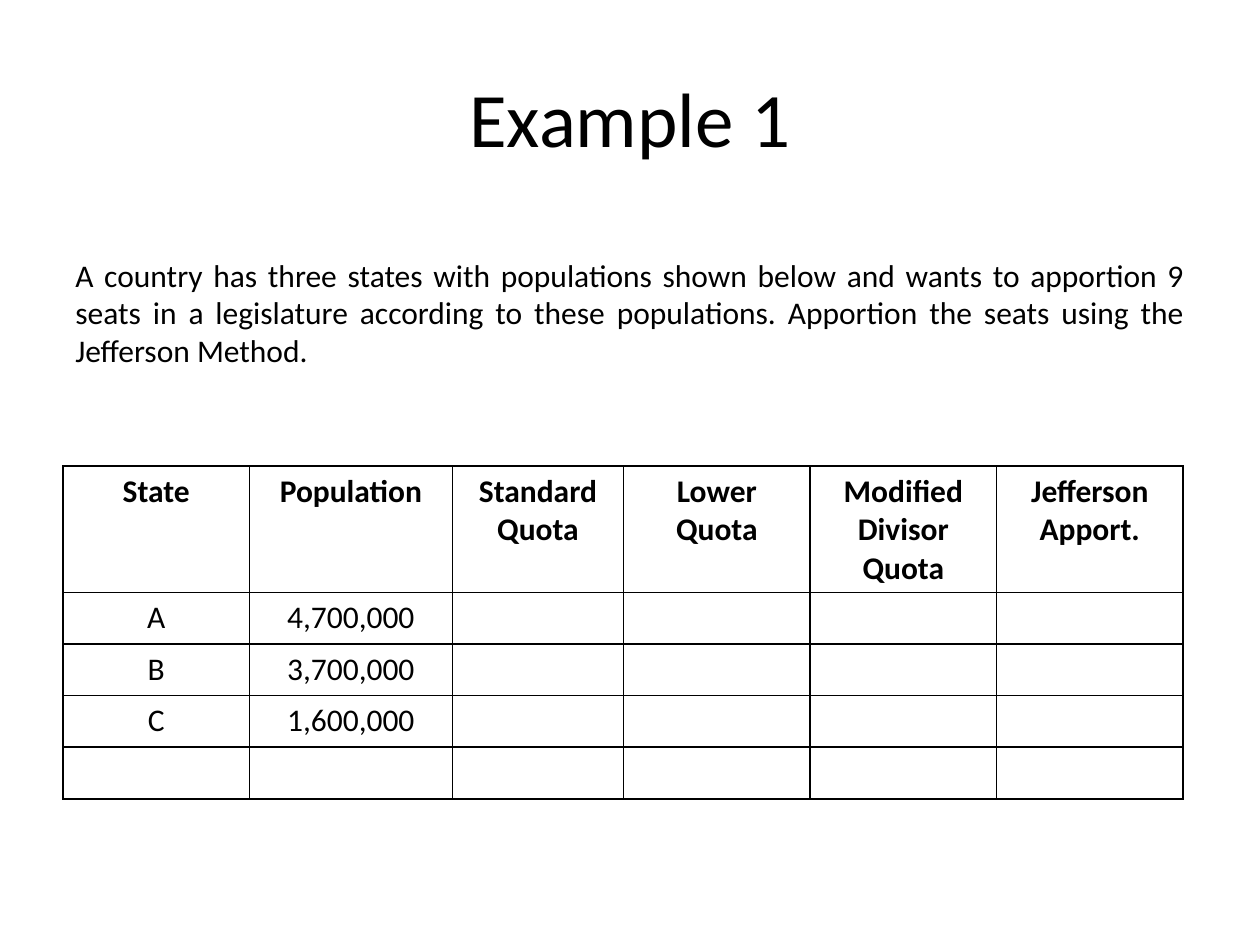
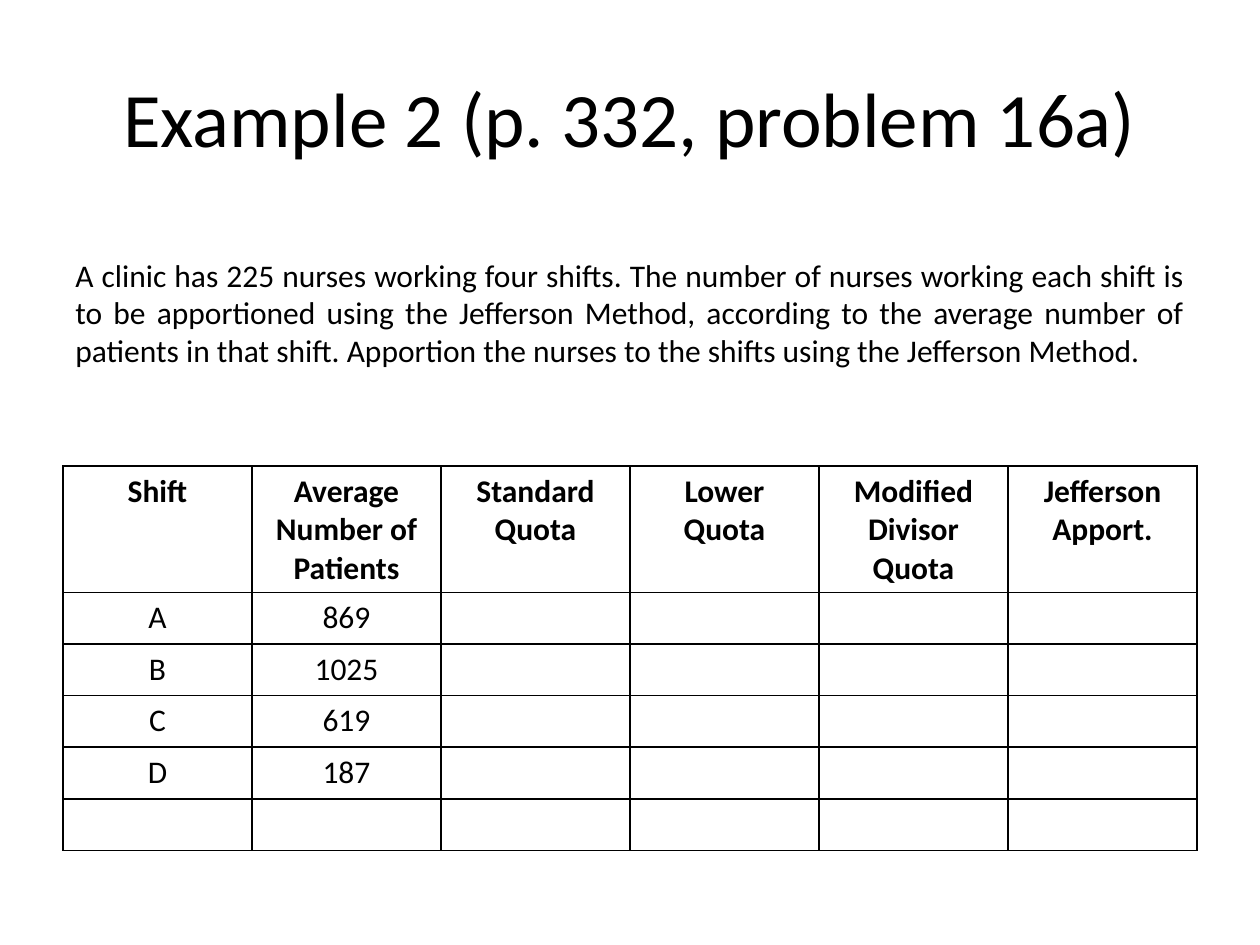
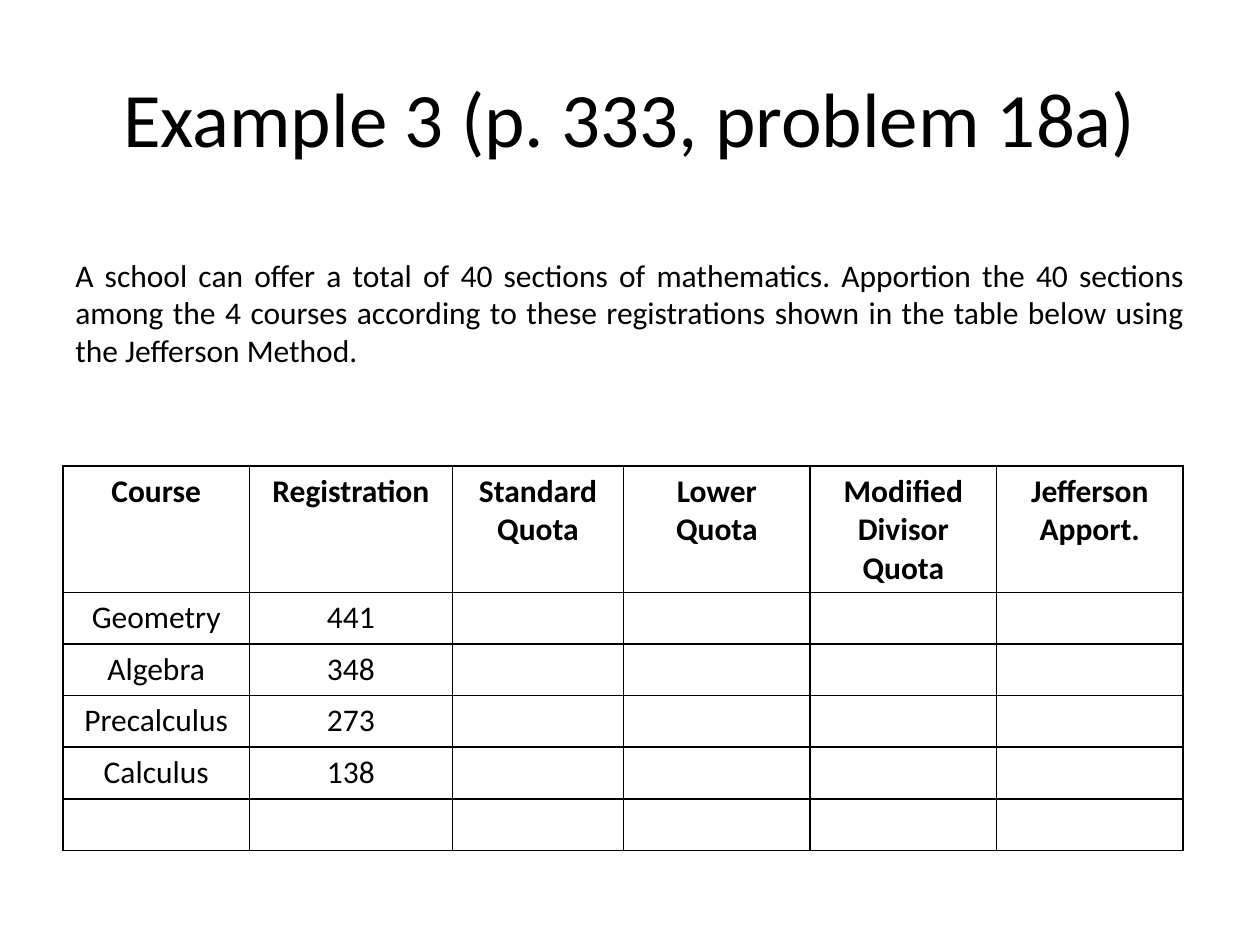
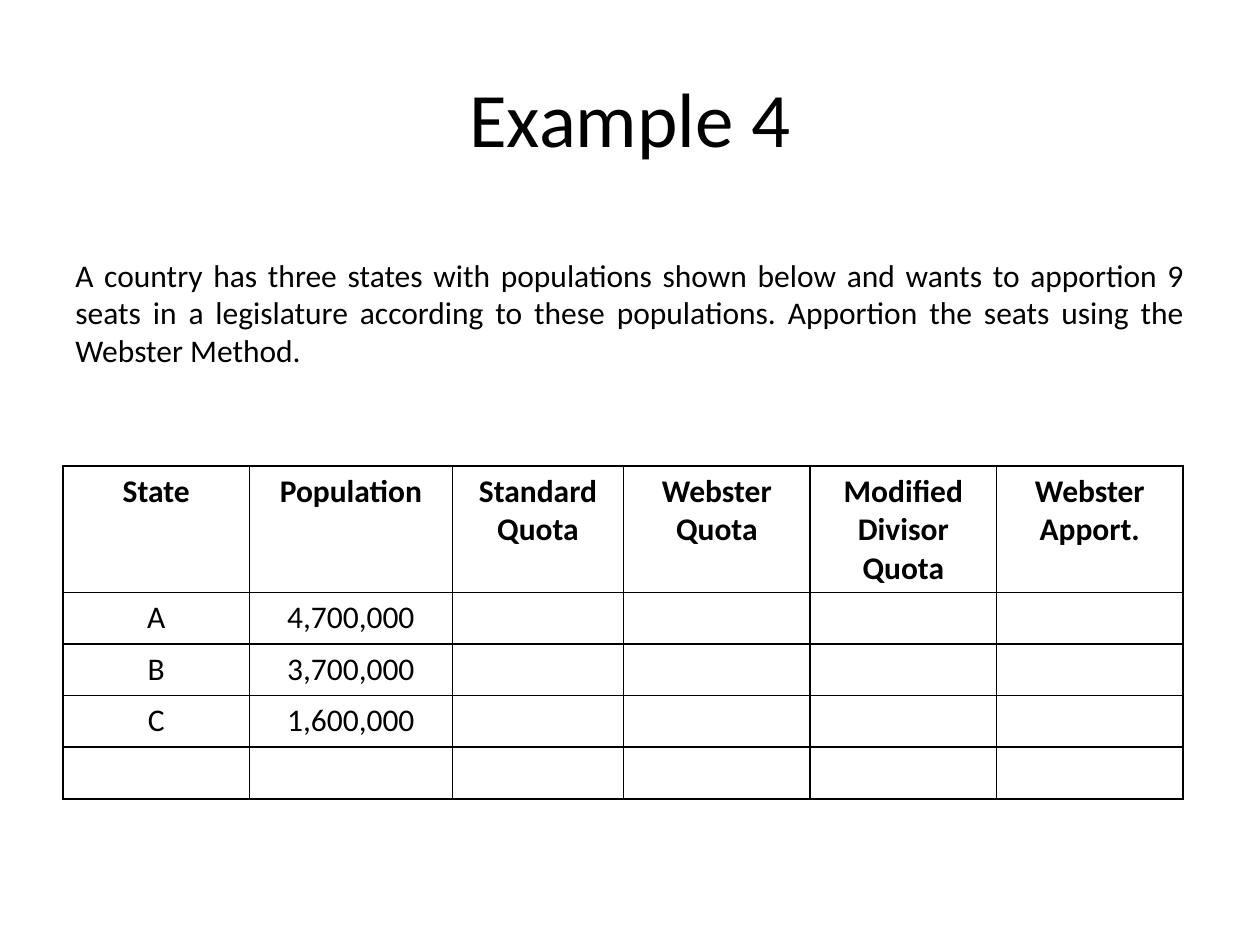
import pptx
import pptx.dml.color
import pptx.enum.text
import pptx.oxml
import pptx.oxml.ns
import pptx.util

Inches = pptx.util.Inches
ALIGN = pptx.enum.text.PP_ALIGN
ANCHOR = pptx.enum.text.MSO_ANCHOR

BLACK = pptx.dml.color.RGBColor(0x00, 0x00, 0x00)
FONT = "Calibri"
LEFT = 0.5
TITLE_AREA = (LEFT, 0.3, 9, 1.25)
PROBLEM_AREA = (LEFT, 1.98, 9, 1.01)
TABLE_TOP = 3.7
ROW_HEIGHT = 0.41
HEADER_EXTRA = 0.57
VARIED_COLUMNS = [1.48, 1.61, 1.36, 1.48, 1.48, 1.48]
EQUAL_COLUMNS = [1.5] * 6

COUNTRY = (
    "A country has three states with populations shown below and wants to apportion "
    "9 seats in a legislature according to these populations. "
    "Apportion the seats using the {} Method."
)
STATES = [("A", "4,700,000"), ("B", "3,700,000"), ("C", "1,600,000")]
JEFFERSON = ["Standard Quota", "Lower Quota", "Modified Divisor Quota", "Jefferson Apport."]
WEBSTER = ["Standard Quota", "Webster Quota", "Modified Divisor Quota", "Webster Apport."]

EXAMPLES = [
    {
        "title": "Example 1",
        "problem": COUNTRY.format("Jefferson"),
        "header": ["State", "Population"] + JEFFERSON,
        "rows": STATES,
        "columns": VARIED_COLUMNS,
    },
    {
        "title": "Example 2 (p. 332, problem 16a)",
        "problem": "A clinic has 225 nurses working four shifts. The number of nurses "
        "working each shift is to be apportioned using the Jefferson Method, according "
        "to the average number of patients in that shift. Apportion the nurses to the "
        "shifts using the Jefferson Method.",
        "header": ["Shift", "Average Number of Patients"] + JEFFERSON,
        "rows": [("A", "869"), ("B", "1025"), ("C", "619"), ("D", "187")],
        "columns": EQUAL_COLUMNS,
    },
    {
        "title": "Example 3 (p. 333, problem 18a)",
        "problem": "A school can offer a total of 40 sections of mathematics. Apportion "
        "the 40 sections among the 4 courses according to these registrations shown in "
        "the table below using the Jefferson Method.",
        "header": ["Course", "Registration"] + JEFFERSON,
        "rows": [
            ("Geometry", "441"),
            ("Algebra", "348"),
            ("Precalculus", "273"),
            ("Calculus", "138"),
        ],
        "columns": VARIED_COLUMNS,
    },
    {
        "title": "Example 4",
        "problem": COUNTRY.format("Webster"),
        "header": ["State", "Population"] + WEBSTER,
        "rows": STATES,
        "columns": VARIED_COLUMNS,
    },
]


def write(frame, text, align, size=18, bold=False):
    para = frame.paragraphs[0]
    para.alignment = align
    span = para.add_run()
    span.text = text
    span.font.color.rgb = BLACK
    formats = {"name": FONT, "size": pptx.util.Pt(size), "bold": bold}
    for name, value in formats.items():
        setattr(span.font, name, value)


def add_text(page, area, text, align, anchor, size):
    box = page.shapes.add_textbox(*map(Inches, area))
    formats = {"word_wrap": True, "vertical_anchor": anchor}
    for name, value in formats.items():
        setattr(box.text_frame, name, value)
    write(box.text_frame, text, align, size)


def style_cell(cell):
    properties = cell._tc.get_or_add_tcPr()
    for side in "LRTB":
        properties.append(pptx.oxml.parse_xml(
            f'<a:ln{side} {pptx.oxml.ns.nsdecls("a")} w="{pptx.util.Pt(1)}">'
            f'<a:solidFill><a:srgbClr val="{BLACK}"/></a:solidFill></a:ln{side}>'
        ))
    cell.fill.background()


def add_quota_table(page, header, rows, columns):
    lines = [header, *rows, ()]
    height = ROW_HEIGHT * len(lines) + HEADER_EXTRA
    area = (LEFT, TABLE_TOP, sum(columns), height)
    holder = page.shapes.add_table(len(lines), len(columns), *map(Inches, area))
    table = holder.table
    table.first_row = table.horz_banding = False
    for column, width in zip(table.columns, columns):
        column.width = Inches(width)
    for row in table.rows:
        row.height = Inches(ROW_HEIGHT)
    holder.height = Inches(height)
    for cell in table.iter_cells():
        style_cell(cell)
    for row_index, line in enumerate(lines):
        for column_index, text in enumerate(line):
            cell = table.cell(row_index, column_index)
            write(cell.text_frame, text, ALIGN.CENTER, bold=row_index == 0)


def main():
    deck = pptx.Presentation()
    deck.slide_width, deck.slide_height = Inches(10), Inches(7.5)
    for example in EXAMPLES:
        page = deck.slides.add_slide(deck.slide_layouts[6])
        add_text(page, TITLE_AREA, example["title"], ALIGN.CENTER, ANCHOR.MIDDLE, 44)
        add_quota_table(page, example["header"], example["rows"], example["columns"])
        add_text(page, PROBLEM_AREA, example["problem"], ALIGN.JUSTIFY, ANCHOR.TOP, 18)
    deck.save("out.pptx")


if __name__ == "__main__":
    main()
